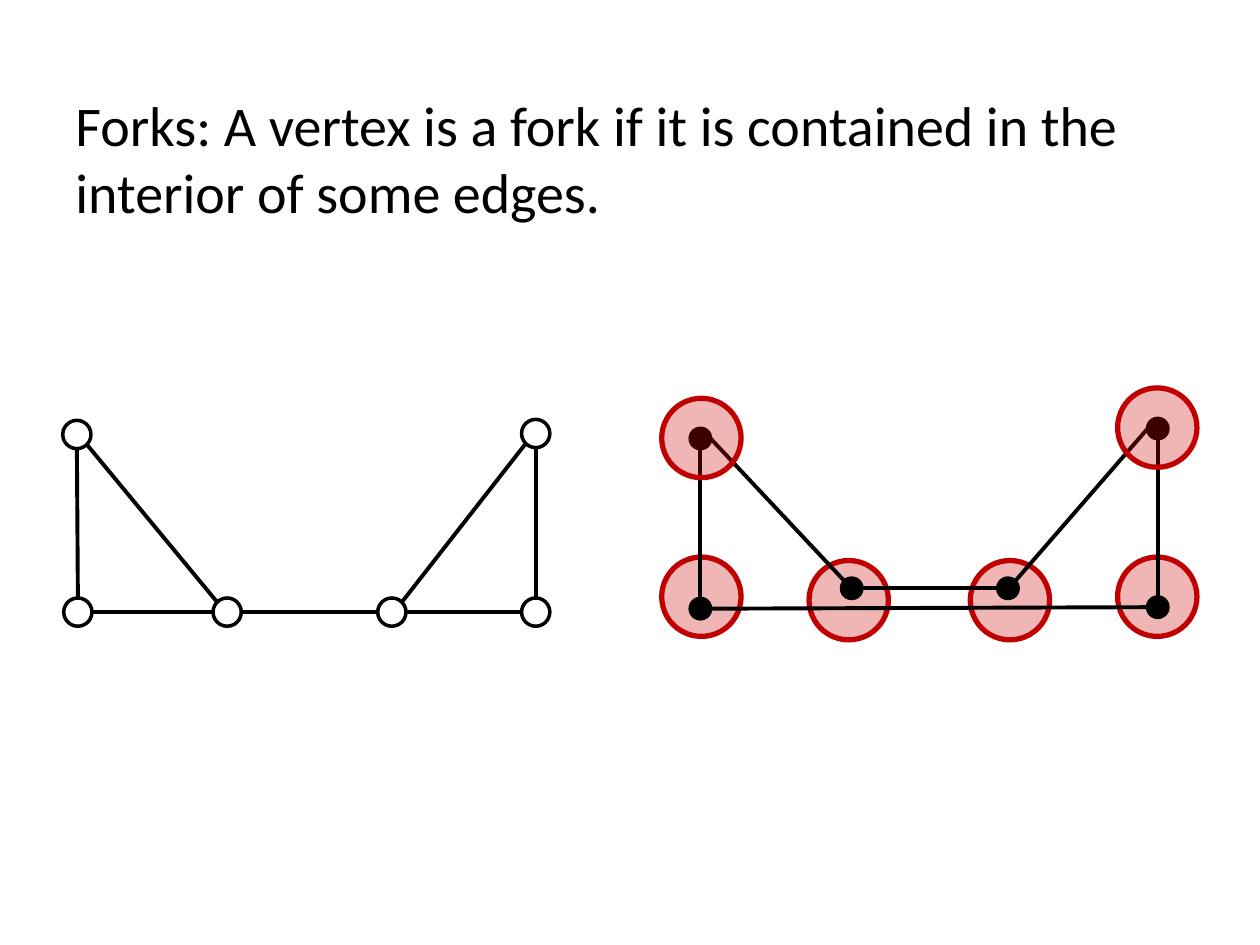
from math import cos, radians, sin

from lxml import etree
from pptx import Presentation
from pptx.dml.color import RGBColor
from pptx.enum.shapes import MSO_CONNECTOR, MSO_SHAPE
from pptx.enum.text import MSO_ANCHOR
from pptx.oxml.ns import qn
from pptx.util import Cm, Pt

OVAL = MSO_SHAPE.OVAL
STRAIGHT = MSO_CONNECTOR.STRAIGHT
TOP = MSO_ANCHOR.TOP

BLACK = RGBColor(0x00, 0x00, 0x00)
WHITE = RGBColor(0xFF, 0xFF, 0xFF)
HALO_FILL = RGBColor(0xCC, 0x00, 0x00)
HALO_LINE = RGBColor(0xC0, 0x00, 0x00)

STATEMENT = "Forks: A vertex is a fork if it is contained in the interior of some edges."

LOWER_HALOS = [(23.33, 12.03), (14.14, 12.03), (20.36, 12.1), (17.11, 12.1)]
UPPER_HALOS = [(23.33, 8.62), (14.14, 8.83)]

PLAIN_VERTICES = {
    "top left": (1.55, 8.76),
    "bottom left": (1.57, 12.34),
    "inner left": (4.58, 12.34),
    "inner right": (7.9, 12.34),
    "bottom right": (10.8, 12.34),
    "top right": (10.8, 8.74),
}
PLAIN_EDGES = [
    ("top left", "S", "bottom left", "N"),
    ("top left", "SE", "inner left", "NW"),
    ("bottom left", "E", "inner left", "W"),
    ("inner left", "E", "inner right", "W"),
    ("inner right", "E", "bottom right", "W"),
    ("top right", "SW", "inner right", "NE"),
    ("top right", "S", "bottom right", "N"),
]

FORK_VERTICES = {
    "top left": (14.12, 8.84),
    "bottom left": (14.12, 12.27),
    "inner left": (17.17, 11.86),
    "inner right": (20.32, 11.86),
    "bottom right": (23.34, 12.24),
    "top right": (23.34, 8.64),
}
FORK_EDGES = [
    ("top left", "S", "bottom left", "N"),
    ("top left", "E", "inner left", "NW"),
    ("inner left", "E", "inner right", "W"),
    ("bottom left", "E", "bottom right", "W"),
    ("top right", "W", "inner right", "NE"),
    ("top right", "S", "bottom right", "N"),
]

HALO_SIZE, PLAIN_SIZE, FORK_SIZE = 1.6, 0.57, 0.41
ANGLES = {"E": 0, "SE": 45, "S": 90, "SW": 135, "W": 180, "NW": 225, "N": 270, "NE": 315}


def add_text(slide, text, left, top, width, height, size, color, font="Calibri"):
    box = slide.shapes.add_textbox(Cm(left), Cm(top), Cm(width), Cm(height))
    frame = box.text_frame
    frame.word_wrap = True
    frame.vertical_anchor = TOP
    paragraph = frame.paragraphs[0]
    paragraph.text = text
    paragraph.font.name = font
    paragraph.font.size = Pt(size)
    paragraph.font.color.rgb = color


def add_circle(slide, center, size, fill, line, line_width, alpha=None):
    x, y = center
    circle = slide.shapes.add_shape(
        OVAL, Cm(x - size / 2), Cm(y - size / 2), Cm(size), Cm(size)
    )
    circle.shadow.inherit = False
    circle.fill.solid()
    circle.fill.fore_color.rgb = fill
    circle.line.color.rgb = line
    circle.line.width = Pt(line_width)
    if alpha is not None:
        color = circle.fill._xPr.find(qn("a:solidFill"))[0]
        etree.SubElement(color, qn("a:alpha"), val=str(alpha * 1000))


def add_halos(slide, centers):
    for center in centers:
        add_circle(slide, center, HALO_SIZE, HALO_FILL, HALO_LINE, 3, alpha=29)


def rim_point(center, size, direction):
    angle = radians(ANGLES[direction])
    return Cm(center[0] + size / 2 * cos(angle)), Cm(center[1] + size / 2 * sin(angle))


def add_graph(slide, vertices, edges, size, fill):
    for start, start_side, end, end_side in edges:
        edge = slide.shapes.add_connector(
            STRAIGHT,
            *rim_point(vertices[start], size, start_side),
            *rim_point(vertices[end], size, end_side),
        )
        edge.line.color.rgb = BLACK
        edge.line.width = Pt(2.25)
        etree.SubElement(edge._element.spPr, qn("a:effectLst"))
    for center in vertices.values():
        add_circle(slide, center, size, fill, BLACK, 2)


def main():
    presentation = Presentation()
    presentation.slide_width = Cm(25.4)
    presentation.slide_height = Cm(19.05)
    slide = presentation.slides.add_slide(presentation.slide_layouts[6])
    add_halos(slide, LOWER_HALOS)
    add_text(slide, STATEMENT, left=1.27, top=1.7, width=22.86, height=3.6,
             size=32, color=BLACK)
    add_graph(slide, FORK_VERTICES, FORK_EDGES, FORK_SIZE, BLACK)
    add_halos(slide, UPPER_HALOS)
    add_graph(slide, PLAIN_VERTICES, PLAIN_EDGES, PLAIN_SIZE, WHITE)
    presentation.save("out.pptx")


if __name__ == "__main__":
    main()
